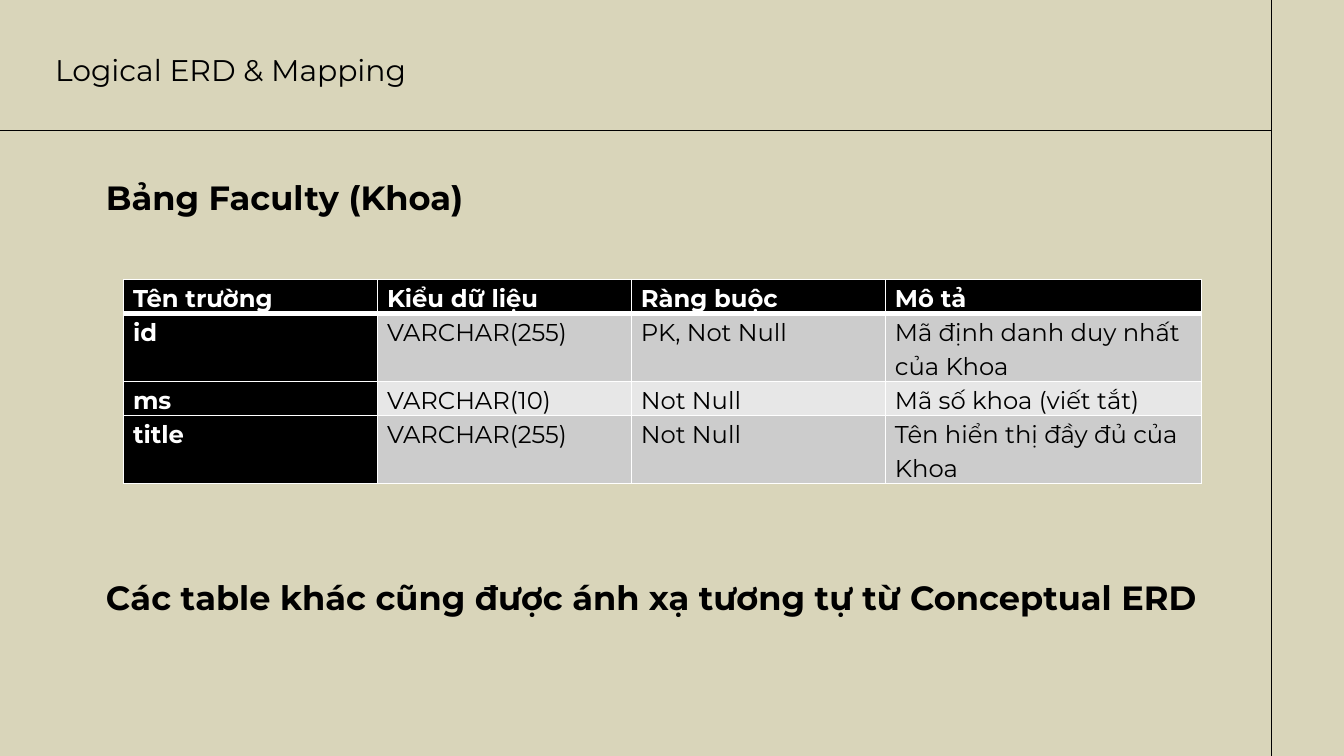
import pptx
import pptx.dml.color
import pptx.enum.shapes
import pptx.enum.text
import pptx.oxml.ns
import pptx.util
from lxml import etree
from pptx.util import Inches

FONT = "Montserrat"
BLACK = "000000"
WHITE = "FFFFFF"
BEIGE = "D9D5BA"
ROW_FILLS = ["CCCCCC", "E7E7E7"]
SLIDE_WIDTH = 10
SLIDE_HEIGHT = SLIDE_WIDTH * 9 / 16

FIELDS = [
    ["Tên trường", "Kiểu dữ liệu", "Ràng buộc", "Mô tả"],
    ["id", "VARCHAR(255)", "PK, Not Null", "Mã định danh duy nhất của Khoa"],
    ["ms", "VARCHAR(10)", "Not Null", "Mã số khoa (viết tắt)"],
    ["title", "VARCHAR(255)", "Not Null", "Tên hiển thị đầy đủ của Khoa"],
]
COLUMN_WIDTHS = [1.89, 1.89, 1.89, 2.35]
ROW_HEIGHTS = [0.25, 0.5, 0.25, 0.5]


def color(value):
    """Return the colour for a hex string."""
    return pptx.dml.color.RGBColor.from_string(value)


def format_paragraph(paragraph, size, text_color, bold=False, spacing=1.15, margin=0, indent=0):
    """Set the font, line spacing and indents of a paragraph."""
    paragraph.alignment = pptx.enum.text.PP_ALIGN.LEFT
    paragraph.line_spacing = spacing
    properties = paragraph._p.get_or_add_pPr()
    properties.set("marL", str(Inches(margin)))
    properties.set("indent", str(Inches(indent)))
    font = paragraph.font
    font.name = FONT
    font.size = pptx.util.Pt(size)
    font.bold = bold
    font.color.rgb = color(text_color)


def add_rule(slide, start, end):
    """Draw a thin black line between two points."""
    points = [Inches(value) for value in (*start, *end)]
    line = slide.shapes.add_connector(pptx.enum.shapes.MSO_CONNECTOR.STRAIGHT, *points)
    line.line.color.rgb = color(BLACK)
    line.line.width = pptx.util.Pt(0.75)
    etree.SubElement(line._element.spPr, pptx.oxml.ns.qn("a:effectLst"))


def place_title(slide, text, left, top, width, height):
    """Move and format the slide title."""
    title = slide.shapes.title
    title.left, title.top = Inches(left), Inches(top)
    title.width, title.height = Inches(width), Inches(height)
    frame = title.text_frame
    frame.text = text
    frame.word_wrap = True
    frame.auto_size = pptx.enum.text.MSO_AUTO_SIZE.NONE
    frame.vertical_anchor = pptx.enum.text.MSO_ANCHOR.TOP
    frame.margin_left = frame.margin_right = Inches(0.1)
    frame.margin_top = frame.margin_bottom = Inches(0.1)
    format_paragraph(frame.paragraphs[0], 16, BLACK, spacing=1.5, margin=0.25)


def add_statement(slide, text, left, top, width, height):
    """Add a bold line of text with an indented start."""
    box = slide.shapes.add_textbox(Inches(left), Inches(top), Inches(width), Inches(height))
    frame = box.text_frame
    frame.text = text
    frame.word_wrap = True
    frame.auto_size = pptx.enum.text.MSO_AUTO_SIZE.SHAPE_TO_FIT_TEXT
    format_paragraph(frame.paragraphs[0], 18, BLACK, bold=True, indent=0.5)


def add_borders(cell, top_width, bottom_width):
    """Give a cell white borders."""
    properties = cell._tc.get_or_add_tcPr()
    widths = {"a:lnL": 1, "a:lnR": 1, "a:lnT": top_width, "a:lnB": bottom_width}
    for tag, width in widths.items():
        border = etree.SubElement(properties, pptx.oxml.ns.qn(tag), w=str(pptx.util.Pt(width)))
        fill = etree.SubElement(border, pptx.oxml.ns.qn("a:solidFill"))
        etree.SubElement(fill, pptx.oxml.ns.qn("a:srgbClr"), val=WHITE)


def add_field_table(slide, left, top):
    """Add the table of fields with a dark header row and first column."""
    frame = slide.shapes.add_table(
        len(FIELDS), len(COLUMN_WIDTHS), Inches(left), Inches(top),
        Inches(sum(COLUMN_WIDTHS)), Inches(sum(ROW_HEIGHTS)))
    table = frame.table
    table.first_col = True
    for column, width in zip(table.columns, COLUMN_WIDTHS):
        column.width = Inches(width)
    for row_index, (row, height) in enumerate(zip(table.rows, ROW_HEIGHTS)):
        row.height = Inches(height)
        for column_index, cell in enumerate(row.cells):
            is_heading = row_index == 0 or column_index == 0
            cell.text = FIELDS[row_index][column_index]
            cell.margin_left = cell.margin_right = Inches(0.07)
            cell.margin_top = cell.margin_bottom = 0
            add_borders(cell, 3 if row_index == 1 else 1, 3 if row_index == 0 else 1)
            cell.fill.solid()
            cell.fill.fore_color.rgb = color(BLACK if is_heading else ROW_FILLS[(row_index - 1) % 2])
            paragraph = cell.text_frame.paragraphs[0]
            format_paragraph(paragraph, 13, WHITE if is_heading else BLACK, bold=is_heading)
            paragraph.space_after = pptx.util.Pt(8)


def main():
    """Build and save the presentation."""
    presentation = pptx.Presentation()
    presentation.slide_width = Inches(SLIDE_WIDTH)
    presentation.slide_height = Inches(SLIDE_HEIGHT)
    slide = presentation.slides.add_slide(presentation.slide_layouts[5])
    slide.background.fill.solid()
    slide.background.fill.fore_color.rgb = color(BEIGE)
    add_rule(slide, (9.46, -0.02), (9.46, 5.69))
    add_rule(slide, (9.46, 0.97), (-0.05, 0.97))
    place_title(slide, "Logical ERD & Mapping", 0.06, 0.15, 9.04, 0.66)
    add_field_table(slide, 0.92, 2.08)
    add_statement(slide, "Bảng Faculty (Khoa)", 0.19, 1.22, 5.03, 0.43)
    add_statement(slide, "Các table khác cũng được ánh xạ tương tự từ Conceptual ERD",
                  0.19, 4.2, 9.22, 0.42)
    presentation.save("out.pptx")


if __name__ == "__main__":
    main()
